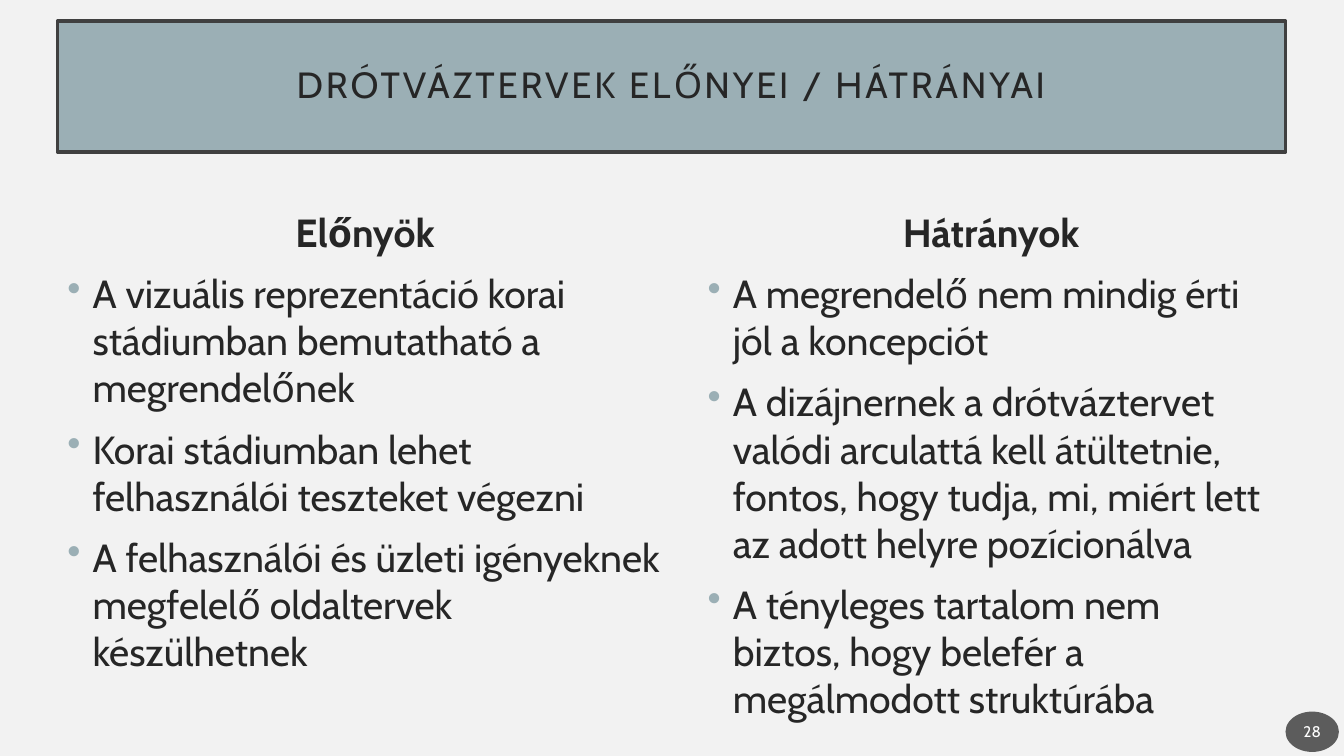
"""Builds a slide weighing the pros and cons of wireframes."""
from lxml import etree
from pptx import Presentation, util as u
from pptx.dml.color import RGBColor
from pptx.enum import shapes, text
from pptx.oxml import ns

TITLE = "DRÓTVÁZTERVEK ELŐNYEI / HÁTRÁNYAI"
PAGE = "28"
COLS = [
    ("Előnyök", (0.57, 2.02, 6.1, 5.43), [
        "A vizuális reprezentáció korai stádiumban bemutatható a megrendelőnek",
        "Korai stádiumban lehet felhasználói teszteket végezni",
        "A felhasználói és üzleti igényeknek megfelelő oldaltervek készülhetnek",
    ]),
    ("Hátrányok", (6.92, 2.02, 5.82, 5.43), [
        "A megrendelő nem mindig érti jól a koncepciót",
        "A dizájnernek a drótváztervet valódi arculattá kell átültetnie, "
        "fontos, hogy tudja, mi, miért lett az adott helyre pozícionálva",
        "A tényleges tartalom nem biztos, hogy belefér a megálmodott struktúrába",
    ]),
]
THEME = {
    "font": "Cabin", "back": "F2F2F2", "band": "9BAFB5", "edge": "404040",
    "ink": "262626", "badge": "1D1D1D", "light": "FFFFFF",
    "title": 26, "body": 28, "page": 11,
}


def color(key):
    return RGBColor.from_string(THEME[key])


def add_tag(parent, tag, **attrs):
    return etree.SubElement(parent, ns.qn(tag), attrs)


def add_run(para, words, size, ink="ink", bold=False):
    run = para.add_run()
    run.text = words
    font = run.font
    font.name, font.size, font.bold = THEME["font"], u.Pt(THEME[size]), bold
    font.color.rgb = color(ink)
    return run


def add_bullet(para):
    props = para._p.get_or_add_pPr()
    props.set("marL", str(u.Inches(0.25)))
    props.set("indent", str(-u.Inches(0.25)))
    add_tag(add_tag(props, "a:buClr"), "a:srgbClr", val=THEME["band"])
    add_tag(props, "a:buChar", char="•")


def add_box(slide, kind, spot, fill, pads):
    box = slide.shapes.add_shape(kind, *map(u.Inches, spot))
    box.shadow.inherit = False
    box.fill.solid()
    box.fill.fore_color.rgb = color(fill)
    frame = box.text_frame
    frame.word_wrap = True
    frame.vertical_anchor = text.MSO_ANCHOR.MIDDLE
    frame.margin_left = frame.margin_right = u.Inches(pads[0])
    frame.margin_top = frame.margin_bottom = u.Inches(pads[1])
    para = frame.paragraphs[0]
    para.alignment = text.PP_ALIGN.CENTER
    return box, para


def add_title(slide):
    box, para = add_box(slide, shapes.MSO_SHAPE.RECTANGLE,
                        (0.57, 0.21, 12.18, 1.3), "band", (0.2, 0.2))
    box.line.color.rgb = color("edge")
    box.line.width = u.Pt(2.5)
    para.line_spacing = 0.9
    run = add_run(para, TITLE, "title")
    run.font._element.set("spc", "200")


def add_column(slide, head, spot, items):
    frame = slide.shapes.add_textbox(*map(u.Inches, spot)).text_frame
    frame.word_wrap = True
    para = frame.paragraphs[0]
    para.alignment = text.PP_ALIGN.CENTER
    add_run(para, head, "body", bold=True)
    for item in items:
        para = frame.add_paragraph()
        add_bullet(para)
        para.space_before = u.Pt(10)
        add_run(para, item, "body")


def add_badge(slide):
    box, para = add_box(slide, shapes.MSO_SHAPE.OVAL,
                        (12.75, 7.06, 0.53, 0.4), "badge", (0.02, 0.05))
    box.line.fill.background()
    tint = box._element.spPr.find(ns.qn("a:solidFill"))[0]
    add_tag(tint, "a:alpha", val="70000")
    add_run(para, PAGE, "page", "light")


def main():
    deck = Presentation()
    deck.slide_width, deck.slide_height = u.Inches(13.33), u.Inches(7.5)
    slide = deck.slides.add_slide(deck.slide_layouts[6])
    slide.background.fill.solid()
    slide.background.fill.fore_color.rgb = color("back")
    add_title(slide)
    for col in COLS:
        add_column(slide, *col)
    add_badge(slide)
    deck.save("out.pptx")


if __name__ == "__main__":
    main()
